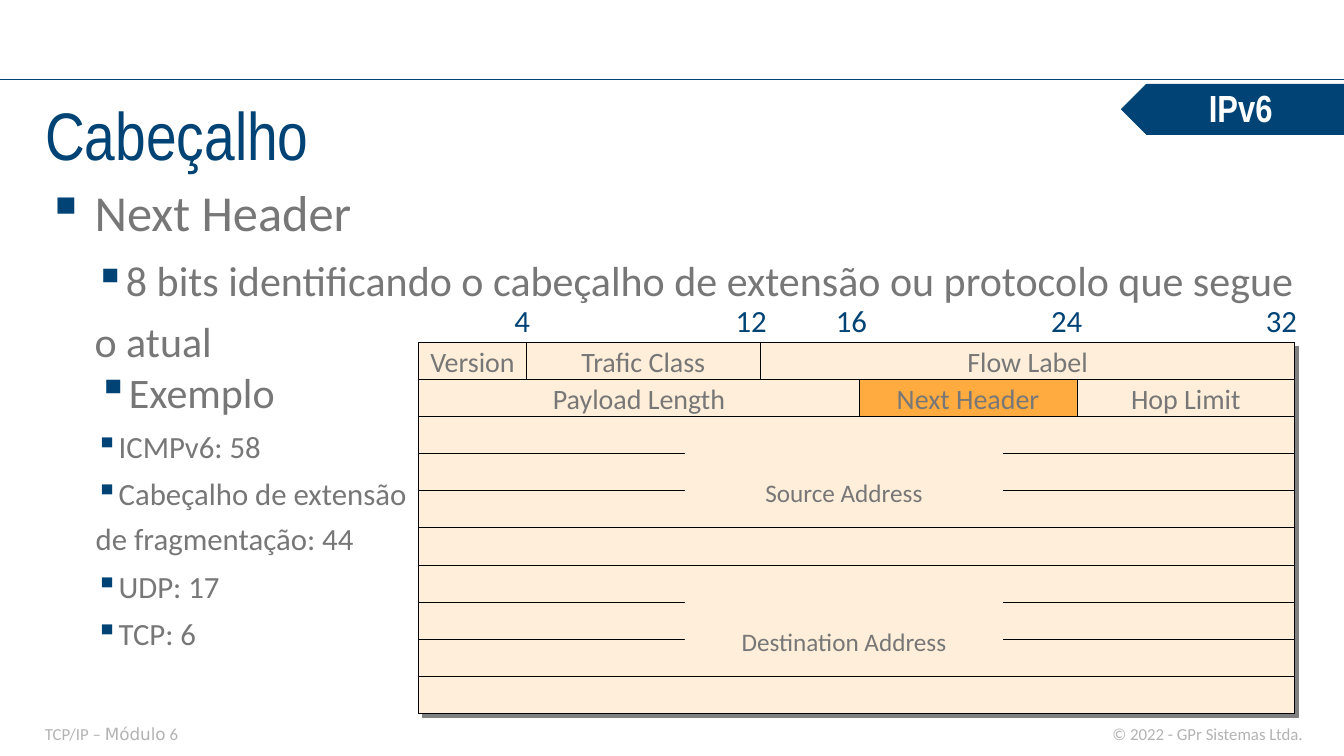
"""Build the slide on the IPv6 Next Header field."""
from lxml import etree
from pptx import Presentation
from pptx.dml.color import RGBColor
from pptx.enum.shapes import MSO_CONNECTOR, MSO_SHAPE
from pptx.enum.text import MSO_ANCHOR, MSO_AUTO_SIZE, PP_ALIGN
from pptx.oxml.ns import qn
from pptx.util import Cm, Pt

LEFT, MID, RIGHT = PP_ALIGN.LEFT, PP_ALIGN.CENTER, PP_ALIGN.RIGHT
TOP, CENTER, LOW = MSO_ANCHOR.TOP, MSO_ANCHOR.MIDDLE, MSO_ANCHOR.BOTTOM
RECT, TAG = MSO_SHAPE.RECTANGLE, MSO_SHAPE.PENTAGON
NAVY, GRAY, PALE, BLACK = "014374", "777777", "B3B3B3", "000000"
CREAM, AMBER, WHITE, SHADE = "FFEED9", "FFAB40", "FFFFFF", "7F7F7F"
SANS, SLIM, ALT = "Calibri", "Arial Narrow", "DejaVu Sans"

WIDE, HIGH = 67.74, 38.1
TITLE = "Cabeçalho"
BADGE = "IPv6"
OWNER = "© 2022 - GPr Sistemas Ltda."
COURSE = [("TCP/IP – ", SANS), ("Módulo", ALT), (" 6", SANS)]
INTRO = [
    ("Next Header", 72, 0, 2.39, -2.39),
    ("8 bits identificando o cabeçalho de extensão ou protocolo que segue o atual", 60, 1, 2.39, 0),
]
SAMPLE = [("Exemplo", 60, 1, 2.49, 0)] + [
    (text, 44, 2, 2.39, 0)
    for text in ("ICMPv6: 58", "Cabeçalho de extensão de fragmentação: 44", "UDP: 17", "TCP: 6")
]
BITS = [("4", 25.68), ("12", 36.83), ("16", 41.88), ("24", 52.73), ("32", 63.55)]
GRID_X, GRID_Y, GRID_W, ROW_H = 21.11, 17.25, 44.14, 1.87
FIELDS = [
    [("Version", 5.41), ("Trafic Class", 11.81), ("Flow Label", 26.92)],
    [("Payload Length", 22.19), ("Next Header", 10.98), ("Hop Limit", 10.97)],
]
HOSTS = ["Source Address", "Destination Address"]
SPAN = 4


def color(code):
    return RGBColor.from_string(code)


def write(para, text, size, face=SANS, tint=GRAY, bold=False):
    run = para.add_run()
    run.text = text
    font = run.font
    font.size, font.name, font.bold = Pt(size), face, bold
    font.color.rgb = color(tint)


def setup(shape, anchor=TOP, pad=(0.25, 0.13)):
    frame = shape.text_frame
    frame.word_wrap = True
    frame.auto_size = MSO_AUTO_SIZE.NONE
    frame.vertical_anchor = anchor
    frame.margin_left = frame.margin_right = Cm(pad[0])
    frame.margin_top = frame.margin_bottom = Cm(pad[1])
    return frame


def label(slide, area, anchor=TOP, pad=(0.25, 0.13), align=LEFT):
    box = slide.shapes.add_textbox(*map(Cm, area))
    para = setup(box, anchor, pad).paragraphs[0]
    para.alignment = align
    return para


def block(slide, area, fill, line=None, width=1, kind=RECT):
    shape = slide.shapes.add_shape(kind, *map(Cm, area))
    shape.shadow.inherit = False
    shape.fill.solid()
    shape.fill.fore_color.rgb = color(fill)
    if line:
        shape.line.color.rgb = color(line)
        shape.line.width = Pt(width)
    else:
        shape.line.fill.background()
    return shape


def caption(shape, text, size, anchor):
    para = setup(shape, anchor).paragraphs[0]
    para.alignment = MID
    write(para, text, size)


def bullets(slide, area, items):
    frame = setup(slide.shapes.add_textbox(*map(Cm, area)))
    for i, (text, size, level, left, hang) in enumerate(items):
        para = frame.add_paragraph() if i else frame.paragraphs[0]
        para.level = level
        para.line_spacing = 1.2
        para.space_before = Pt(5 if i else 0)
        props = para._p.get_or_add_pPr()
        props.set("marL", str(Cm(left)))
        props.set("indent", str(Cm(hang)))
        tint = etree.SubElement(props, qn("a:buClr"))
        etree.SubElement(tint, qn("a:srgbClr"), val=NAVY)
        etree.SubElement(props, qn("a:buChar"), char="▪")
        write(para, text, size)


def shade(shape):
    effects = shape._element.spPr.find(qn("a:effectLst"))
    outer = etree.SubElement(effects, qn("a:outerShdw"), dist=str(Pt(8)), dir="2700000", algn="ctr", rotWithShape="0")
    etree.SubElement(outer, qn("a:srgbClr"), val=SHADE)


def header(slide):
    shade(block(slide, (GRID_X, GRID_Y, GRID_W, 10 * ROW_H), CREAM, BLACK, 2))
    for row, fields in enumerate(FIELDS):
        x = GRID_X
        for text, width in fields:
            fill = AMBER if text == "Next Header" else CREAM
            cell = block(slide, (x, GRID_Y + row * ROW_H, width, ROW_H), fill, BLACK)
            caption(cell, text, 40, CENTER)
            x += width
    for n, host in enumerate(HOSTS):
        y = GRID_Y + (len(FIELDS) + n * SPAN) * ROW_H
        for row in range(SPAN):
            block(slide, (GRID_X, y + row * ROW_H, GRID_W, ROW_H), CREAM, BLACK)
        caption(block(slide, (34.52, y + 1.4, 16.03, 3.33), CREAM), host, 36, LOW)
    for text, x in BITS:
        write(label(slide, (x, 15.06, 2.6, 1.7)), text, 44, tint=NAVY)


def main():
    deck = Presentation()
    deck.slide_width, deck.slide_height = Cm(WIDE), Cm(HIGH)
    slide = deck.slides.add_slide(deck.slide_layouts[5])

    rule = slide.shapes.add_connector(MSO_CONNECTOR.STRAIGHT, 0, Cm(4.01), Cm(WIDE), Cm(4.01))
    rule.line.color.rgb = color(NAVY)
    rule.line.width = Pt(2)
    etree.SubElement(rule._element.spPr, qn("a:effectLst"))

    title = slide.shapes.title
    title.left, title.top, title.width, title.height = map(Cm, (2.13, 4.45, 63.53, 4.57))
    para = setup(title, CENTER, (0.15, 0.15)).paragraphs[0]
    para.alignment = LEFT
    write(para, TITLE, 96, SLIM, NAVY)

    bullets(slide, (2.13, 8.38, 63.53, 27.94), INTRO)
    header(slide)
    bullets(slide, (2.18, 17.81, 18.69, 17.98), SAMPLE)

    tag = block(slide, (56.52, 4.24, WIDE - 56.52, 2.54), NAVY, NAVY, kind=TAG)
    tag.rotation = 180
    para = label(slide, (58.37, 4.14, 8.33, 2.59), CENTER, (0.15, 0.15), MID)
    write(para, BADGE, 54, SLIM, WHITE, True)

    para = label(slide, (2.11, 36.3, 48.46, 1.32), CENTER, (0.15, 0.15))
    for text, face in COURSE:
        write(para, text, 24, face, PALE)
    para = label(slide, (52.27, 36.3, 13.54, 1.32), CENTER, (0.15, 0.15), RIGHT)
    write(para, OWNER, 24, tint=PALE)
    deck.save("out.pptx")


if __name__ == "__main__":
    main()
